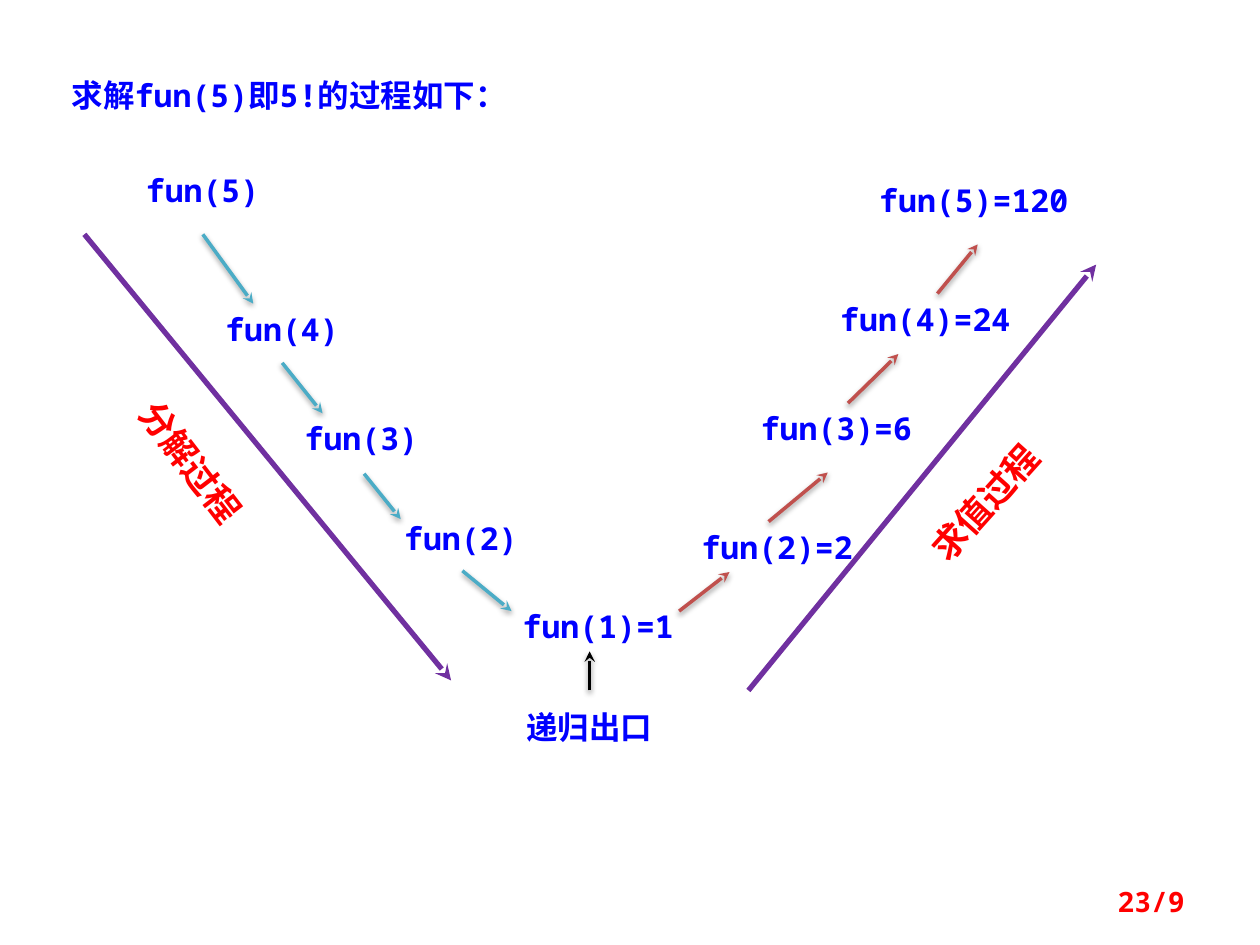
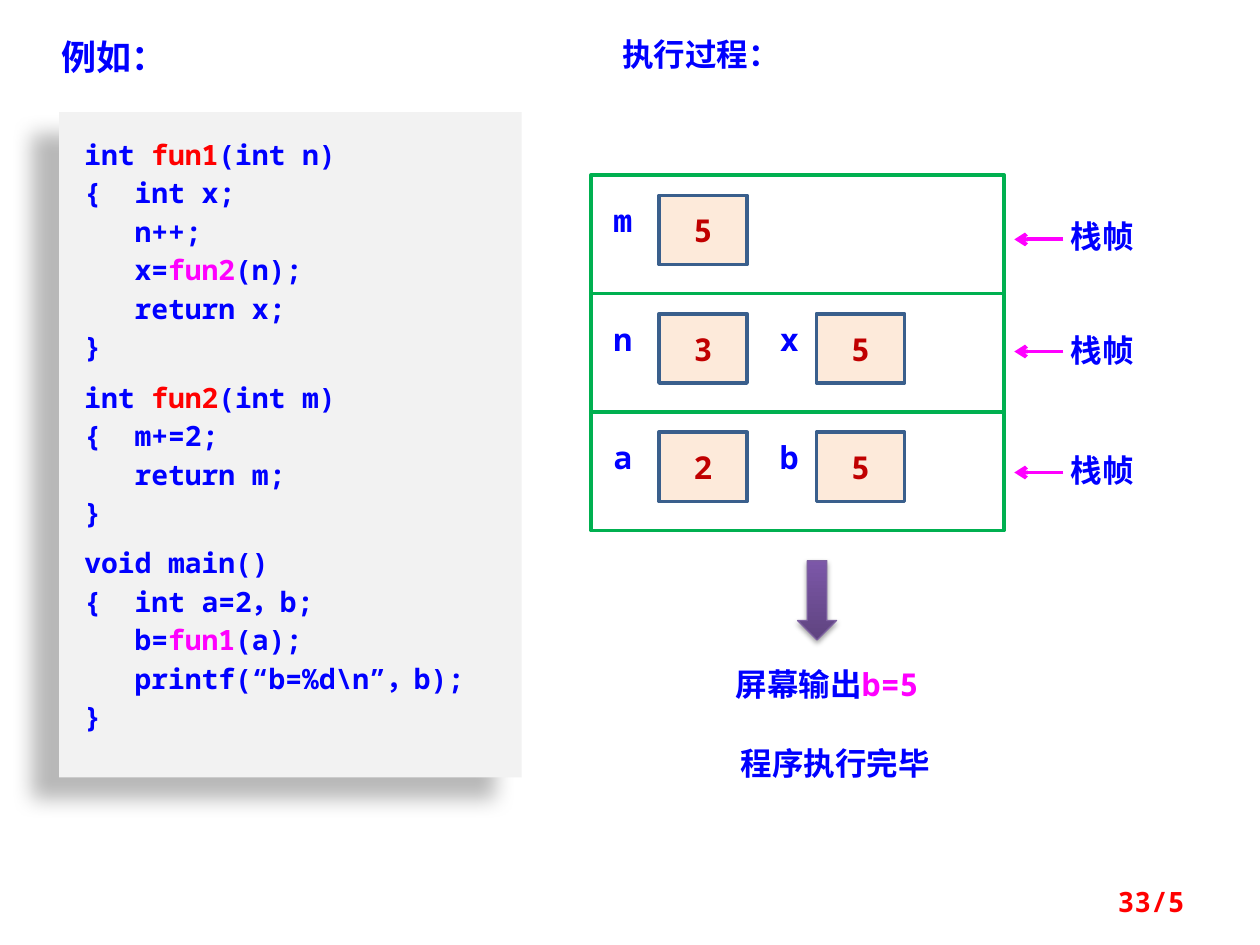
from lxml import etree
from pptx import Presentation
from pptx.dml.color import RGBColor
from pptx.enum.shapes import MSO_CONNECTOR, MSO_SHAPE
from pptx.enum.text import MSO_ANCHOR, PP_ALIGN
from pptx.oxml import parse_xml
from pptx.oxml.ns import qn
from pptx.util import Inches, Pt

LEFT, CENTER, RIGHT = PP_ALIGN.LEFT, PP_ALIGN.CENTER, PP_ALIGN.RIGHT
TOP, MIDDLE = MSO_ANCHOR.TOP, MSO_ANCHOR.MIDDLE
STRAIGHT = MSO_CONNECTOR.STRAIGHT
RECT, DOWN_ARROW = MSO_SHAPE.RECTANGLE, MSO_SHAPE.DOWN_ARROW

COLORS = {
    "blue": "0000FF", "red": "FF0000", "magenta": "FF00FF", "black": "000000",
    "purple": "7030A0", "teal": "4BACC6", "brick": "C0504D", "white": "FFFFFF",
    "green": "00B050", "navy": "3A5F8C", "peach": "FDEADA", "dark red": "C00000",
    "grey": "F2F2F2", "violet": "7D60A0", "deep violet": "5F4480", "light violet": "7C57A8",
}
RGB = {name: RGBColor.from_string(value) for name, value in COLORS.items()}
MONO, CJK_SC, CJK_JP = "Noto Sans Mono", "Noto Sans CJK SC", "Noto Sans CJK JP"
SHADOW = (
    '<a:outerShdw xmlns:a="http://schemas.openxmlformats.org/drawingml/2006/main" '
    'blurRad="{}" dist="{}" dir="{}" algn="ctr" rotWithShape="0">'
    '<a:srgbClr val="000000"><a:alpha val="{}"/></a:srgbClr></a:outerShdw>'
)
SOFT_SHADOW = SHADOW.format(40000, 20000, 90 * 60000, 38000)
PANEL_SHADOW = SHADOW.format(150000, 250000, 141 * 60000, 28000)


def write(shape, text, size=18, color="blue", font=MONO, east_asian=CJK_SC,
          align=LEFT, anchor=TOP, insets=(0.1, 0.05, 0.1, 0.05)):
    """Text is a string, or a list of (line spacing, runs); a run is a string or (string, colour)."""
    frame = shape.text_frame
    frame.word_wrap = True
    frame.vertical_anchor = anchor
    frame.margin_left, frame.margin_top, frame.margin_right, frame.margin_bottom = map(Inches, insets)
    paragraphs = [(1.0, [text])] if isinstance(text, str) else text
    for index, (spacing, runs) in enumerate(paragraphs):
        paragraph = frame.add_paragraph() if index else frame.paragraphs[0]
        paragraph.alignment = align
        paragraph.line_spacing = spacing
        for item in runs:
            words, run_color = (item, color) if isinstance(item, str) else item
            run = paragraph.add_run()
            run.text = words
            run.font.size = Pt(size)
            run.font.bold = True
            run.font.name = font
            run.font.color.rgb = RGB[run_color]
            etree.SubElement(run.font._element, qn("a:ea"), typeface=east_asian)


def draw_arrow(slide, start, end, color, width=2, head="stealth", shadow=True):
    arrow = slide.shapes.add_connector(STRAIGHT, *map(Inches, start + end))
    arrow.line.color.rgb = RGB[color]
    arrow.line.width = Pt(width)
    properties = arrow._element.spPr
    etree.SubElement(properties.find(qn("a:ln")), qn("a:tailEnd"), type=head)
    effects = etree.SubElement(properties, qn("a:effectLst"))
    if shadow:
        effects.append(parse_xml(SOFT_SHADOW))


prs = Presentation()
prs.slide_width, prs.slide_height = Inches(10), Inches(7.5)

# Shared frame: title and page number
slides = []
for title, box, size, page in [
    ("求解fun(5)即5!的过程如下：", (0.47, 0.55, 4.72, 0.4), 18, "23/9"),
    ("例如：", (0.39, 0.23, 1.33, 0.44), 20, "33/5"),
]:
    slide = prs.slides.add_slide(prs.slide_layouts[5])
    heading = slide.shapes.title
    heading.left, heading.top, heading.width, heading.height = map(Inches, box)
    write(heading, title, size=size)
    page_number = slide.shapes.add_textbox(*map(Inches, (7.17, 6.95, 2.33, 0.4)))
    write(page_number, page, size=16, color="red", align=RIGHT, anchor=MIDDLE)
    slides.append(slide)
recursion, stack = slides

# Slide 1: calls going down, then values coming back up
for call, left, top in [
    ("fun(5)", 1.06, 1.31), ("fun(4)", 1.69, 2.41), ("fun(3)", 2.32, 3.28),
    ("fun(2)", 3.11, 4.07), ("fun(1)=1", 4.05, 4.77), ("fun(2)=2", 5.47, 4.14),
    ("fun(3)=6", 5.94, 3.2), ("fun(4)=24", 6.57, 2.33), ("fun(5)=120", 6.88, 1.39),
]:
    label = recursion.shapes.add_textbox(*map(Inches, (left, top, 0.4 + 0.15 * len(call), 0.4)))
    write(label, call)

for start, end, color in [
    ((1.61, 1.86), (2.01, 2.41), "teal"),
    ((2.24, 2.88), (2.56, 3.28), "teal"),
    ((2.89, 3.76), (3.18, 4.12), "teal"),
    ((3.67, 4.53), (4.06, 4.85), "teal"),
    ((5.39, 4.85), (5.79, 4.54), "brick"),
    ((6.1, 4.14), (6.57, 3.75), "brick"),
    ((6.73, 3.2), (7.13, 2.81), "brick"),
    ((7.44, 2.33), (7.76, 1.94), "brick"),
    ((4.68, 5.48), (4.68, 5.17), "black"),
]:
    draw_arrow(recursion, start, end, color)

# Recursion exit
exit_label = recursion.shapes.add_textbox(*map(Inches, (3.73, 5.57, 1.89, 0.4)))
write(exit_label, "递归出口", align=CENTER)

# The two phases
for phase, left, top, rotation, start, end in [
    ("分解过程", 0.57, 3.45, 52.5, (0.67, 1.86), (3.58, 5.4)),
    ("求值过程", 6.87, 3.77, 311.9, (5.94, 5.48), (8.7, 2.1)),
]:
    draw_arrow(recursion, start, end, "purple", width=3, shadow=False)
    phase_label = recursion.shapes.add_textbox(*map(Inches, (left, top, 1.89, 0.43)))
    phase_label.rotation = rotation
    write(phase_label, phase, size=20, color="red", font=CJK_JP, east_asian=CJK_JP, align=CENTER)

# Slide 2: program code
LINE, FUNCTION_START = Pt(22), 1.5
code = [
    (LINE, ["int ", ("fun1", "red"), "(int n)"]),
    (LINE, ["{  int x;"]),
    (LINE, ["   n++;"]),
    (LINE, ["   x=", ("fun2", "magenta"), "(n);"]),
    (LINE, ["   return x;"]),
    (LINE, ["}"]),
    (FUNCTION_START, ["int ", ("fun2", "red"), "(int m)"]),
    (LINE, ["{  m+=2;"]),
    (LINE, ["   return m;"]),
    (LINE, ["}"]),
    (FUNCTION_START, ["void main()"]),
    (LINE, ["{  int a=2，b;"]),
    (LINE, ["   b=", ("fun1", "magenta"), "(a);"]),
    (LINE, ["   printf(“b=%d\\n”，b);"]),
    (LINE, ["}"]),
]
code_panel = stack.shapes.add_shape(RECT, *map(Inches, (0.47, 0.89, 3.67, 5.28)))
code_panel.fill.solid()
code_panel.fill.fore_color.rgb = RGB["grey"]
code_panel.line.fill.background()
code_panel.shadow.inherit = False
code_panel._element.spPr.find(qn("a:effectLst")).append(parse_xml(PANEL_SHADOW))
write(code_panel, code, size=16, insets=(0.2, 0.16, 0.1, 0.2))

# Stack frames with their variables
FRAME_TOP, FRAME_HEIGHT = 1.39, 0.94
VARIABLE_COLUMNS = [(4.77, 5.23), (6.09, 6.48)]
for row, (variables, label_top, arrow_y) in enumerate([
    (["m5"], 1.67, 1.9),
    (["n3", "x5"], 2.58, 2.79),
    (["a2", "b5"], 3.53, 3.75),
]):
    top = FRAME_TOP + row * FRAME_HEIGHT
    boxes = [((4.69, top, 3.28, FRAME_HEIGHT), "white", "green", "")]
    for (name, value), (name_left, value_left) in zip(variables, VARIABLE_COLUMNS):
        boxes.append(((value_left, top + 0.16, 0.7, 0.55), "peach", "navy", value))
    for box, fill, outline, value in boxes:
        cell = stack.shapes.add_shape(RECT, *map(Inches, box))
        cell.fill.solid()
        cell.fill.fore_color.rgb = RGB[fill]
        cell.line.color.rgb = RGB[outline]
        cell.line.width = Pt(2)
        cell.shadow.inherit = False
        if value:
            write(cell, value, color="dark red", align=CENTER, anchor=MIDDLE)
    for (name, value), (name_left, value_left) in zip(variables, VARIABLE_COLUMNS):
        variable = stack.shapes.add_textbox(*map(Inches, (name_left, top + 0.16, 0.39, 0.4)))
        write(variable, name)
    frame_label = stack.shapes.add_textbox(*map(Inches, (8.4, label_top, 0.89, 0.4)))
    write(frame_label, "栈帧", font=CJK_SC)
    draw_arrow(stack, (8.44, arrow_y), (8.05, arrow_y), "magenta", 2.25, "arrow", shadow=False)

# Arrow to the output
output_arrow = stack.shapes.add_shape(DOWN_ARROW, *map(Inches, (6.33, 4.45, 0.31, 0.63)))
output_arrow.fill.gradient()
output_arrow.fill.gradient_angle = 90
for stop, color in zip(output_arrow.fill.gradient_stops, ("deep violet", "light violet")):
    stop.color.rgb = RGB[color]
output_arrow.line.color.rgb = RGB["violet"]
output_arrow.line.width = Pt(0.75)
output_arrow.shadow.inherit = False
output_arrow._element.spPr.find(qn("a:effectLst")).append(parse_xml(SOFT_SHADOW))

# Captions
for caption, box, font, align in [
    ("执行过程：", (4.84, 0.23, 2.11, 0.4), MONO, LEFT),
    ([(1.0, ["屏幕输出", ("b=5", "magenta")])], (5.47, 5.23, 2.19, 0.4), MONO, CENTER),
    ("程序执行完毕", (5.78, 5.86, 1.8, 0.4), CJK_SC, LEFT),
]:
    write(stack.shapes.add_textbox(*map(Inches, box)), caption, font=font, align=align)

prs.save("out.pptx")
